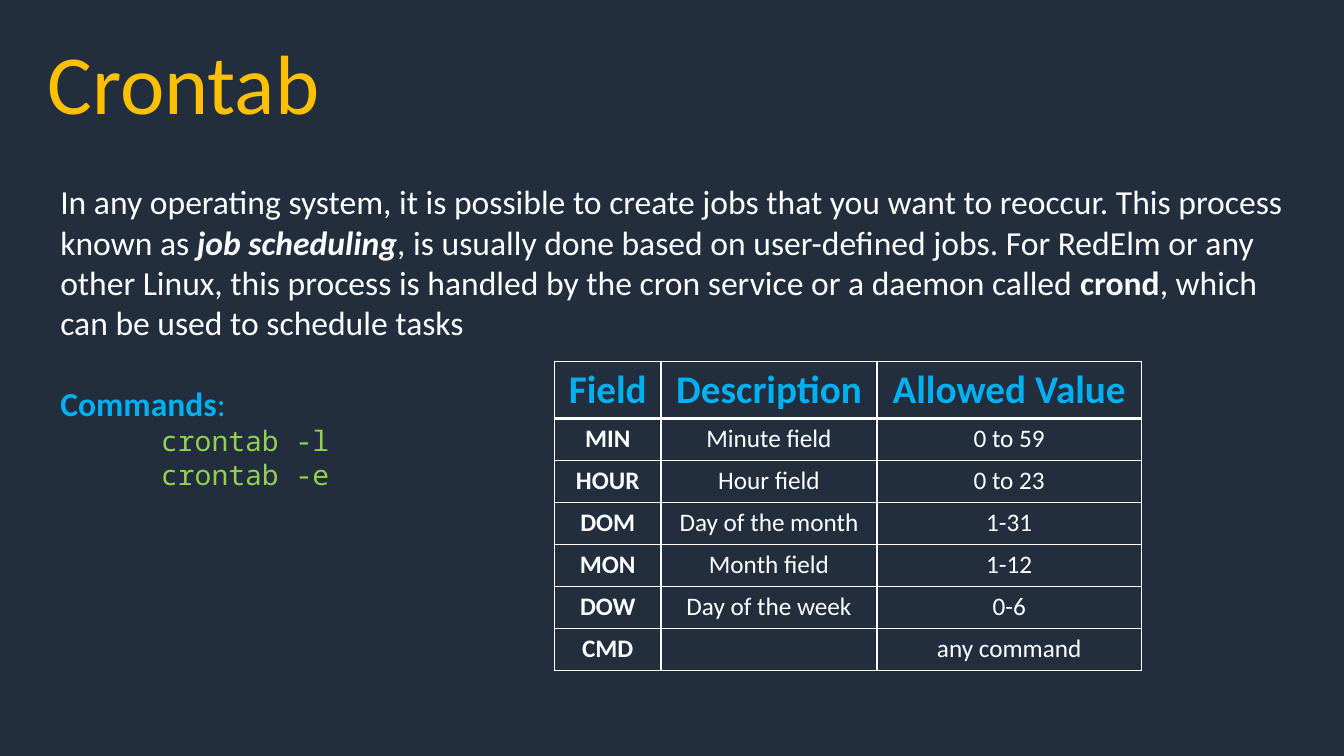
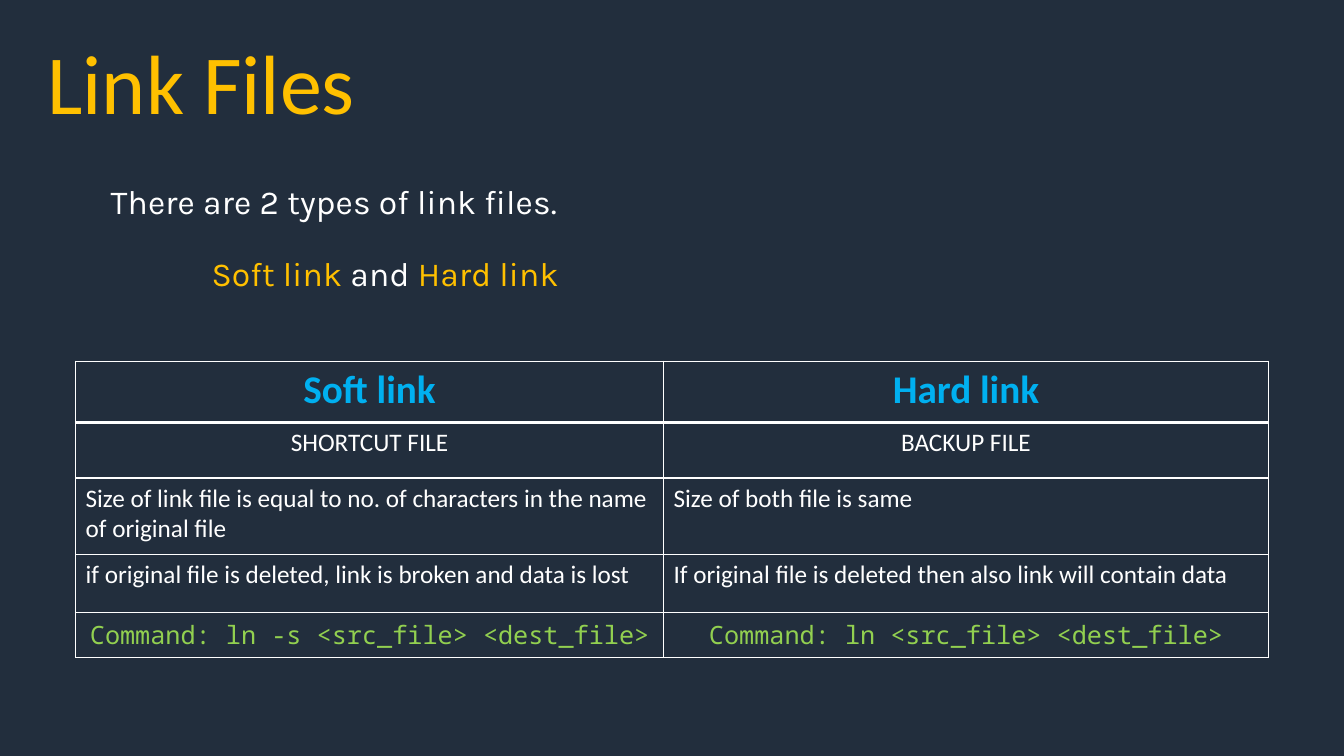
from lxml.etree import SubElement as Sub
from pptx import Presentation
from pptx.dml.color import RGBColor as Rgb
from pptx.enum.text import MSO_ANCHOR as Anchor, MSO_AUTO_SIZE as Fit, PP_ALIGN as Align
from pptx.oxml.ns import qn
from pptx.util import Inches, Pt

HUES = {"navy": "222E3D", "gold": "FFC000", "white": "FFFFFF", "blue": "00B0F0", "green": "92D050"}
SANS, MONO, KARLA = "Calibri", "Noto Sans Mono", "Karla"
LOOKS = {
    "title": (60, SANS, "gold", False, False),
    "body": (24, SANS, "white", False, False),
    "strong": (24, SANS, "white", True, False),
    "term": (24, SANS, "white", True, True),
    "label": (24, SANS, "blue", True, False),
    "colon": (24, SANS, "blue", False, False),
    "code": (20, MONO, "green", False, False),
    "head": (28, SANS, "blue", True, False),
    "key": (18, SANS, "white", True, False),
    "cell": (18, SANS, "white", False, False),
    "cmd": (18, MONO, "green", False, False),
    "intro": (24, KARLA, "white", False, False),
    "link": (24, KARLA, "gold", False, False),
}
UNIT = Inches(1 / 12)
WIDE, HIGH = 160, 90
TOP, MID = 21, 43


def write(para, *parts):
    for text, look in parts:
        run = para.add_run()
        run.text = text
        size, face, hue, bold, slant = LOOKS[look]
        font = run.font
        font.size, font.name, font.bold, font.italic = Pt(size), face, bold, slant
        font.color.rgb = Rgb.from_string(HUES[hue])
        if face == KARLA:
            run._r.get_or_add_rPr().set("spc", "10")


def grid(slide, left, cols, rows):
    high = sum(row[0] for row in rows)
    table = slide.shapes.add_table(
        len(rows), len(cols), int(left * UNIT), MID * UNIT,
        int(sum(cols) * UNIT), int(high * UNIT)).table
    for col, wide in zip(table.columns, cols):
        col.width = int(wide * UNIT)
    for r, (tall, looks, align, texts) in enumerate(rows):
        table.rows[r].height = int(tall * UNIT)
        for c, (text, look) in enumerate(zip(texts, looks)):
            cell = table.cell(r, c)
            para = cell.text_frame.paragraphs[0]
            para.alignment = align
            if text:
                write(para, (text, look))
            props = cell._tc.get_or_add_tcPr()
            for side in "LRTB":
                thick = (r, side) in ((0, "B"), (1, "T"))
                line = Sub(props, qn(f"a:ln{side}"), w=str(Pt(3 if thick else 1)))
                Sub(Sub(line, qn("a:solidFill")), qn("a:srgbClr"), val=HUES["white"])
            cell.fill.background()


deck = Presentation()
deck.slide_width, deck.slide_height = WIDE * UNIT, HIGH * UNIT
back = deck.slide_master.background.fill
back.solid()
back.fore_color.rgb = Rgb.from_string(HUES["navy"])

pages = [
    ("Crontab", (6, 151, 45), [
        (0, 0, [
            ("In any operating system, it is possible to create jobs that you want to reoccur. "
             "This process known as ", "body"),
            ("job scheduling", "term"),
            (", is usually done based on user-defined jobs. For RedElm or any other Linux, "
             "this process is handled by the cron service or a daemon called ", "body"),
            ("crond", "strong"),
            (", which can be used to schedule tasks", "body")]),
        (0, 29, [("Commands", "label"), (":", "colon")]),
        (1, 0, [("crontab -l", "code")]),
        (1, 0, [("crontab -e", "code")]),
    ], 66, (12.7, 25.7, 31.5), [
        (6.8, ["head"] * 3, Align.CENTER, ("Field", "Description", "Allowed Value")),
        *((5, ("key", "cell", "cell"), Align.CENTER, texts) for texts in (
            ("MIN", "Minute field", "0 to 59"),
            ("HOUR", "Hour field", "0 to 23"),
            ("DOM", "Day of the month", "1-31"),
            ("MON", "Month field", "1-12"),
            ("DOW", "Day of the week", "0-6"),
            ("CMD", "", "any command"))),
    ]),
    ("Link Files", (0, 159, 15), [
        (1, 0, [("There are 2 types of link files.", "intro")]),
        (2, 22, [("Soft link ", "link"), ("and ", "intro"), ("Hard link", "link")]),
    ], 9, (70, 72), [
        (7.3, ["head"] * 2, Align.CENTER, ("Soft link", "Hard link")),
        (6.6, ["cell"] * 2, Align.CENTER, ("SHORTCUT FILE", "BACKUP FILE")),
        (9.1, ["cell"] * 2, Align.LEFT, (
            "Size of link file is equal to no. of characters in the name of original file",
            "Size of both file is same")),
        (6.9, ["cell"] * 2, Align.LEFT, (
            "if original file is deleted, link is broken and data is lost",
            "If original file is deleted then also link will contain data")),
        (5.4, ["cmd"] * 2, Align.CENTER, (
            "Command: ln -s <src_file> <dest_file>",
            "Command: ln <src_file> <dest_file>")),
    ]),
]

for name, (left, wide, high), paras, edge, cols, rows in pages:
    slide = deck.slides.add_slide(deck.slide_layouts[5])
    title = slide.shapes.title
    title.left, title.top = 0, 3 * UNIT
    title.width, title.height = WIDE * UNIT, int(13.3 * UNIT)
    frame = title.text_frame
    frame.auto_size, frame.vertical_anchor = Fit.NONE, Anchor.MIDDLE
    frame.margin_left = Inches(0.47)
    frame.paragraphs[0].alignment = Align.LEFT
    write(frame.paragraphs[0], (name, "title"))

    box = slide.shapes.add_textbox(left * UNIT, TOP * UNIT, wide * UNIT, high * UNIT)
    frame = box.text_frame
    frame.word_wrap = True
    for i, (inset, gap, parts) in enumerate(paras):
        para = frame.add_paragraph() if i else frame.paragraphs[0]
        props = para._p.get_or_add_pPr()
        props.set("marL", str(Inches(inset)))
        props.set("indent", "0")
        if gap:
            para.space_before = Pt(gap)
        write(para, *parts)

    grid(slide, edge, cols, rows)

deck.save("out.pptx")
